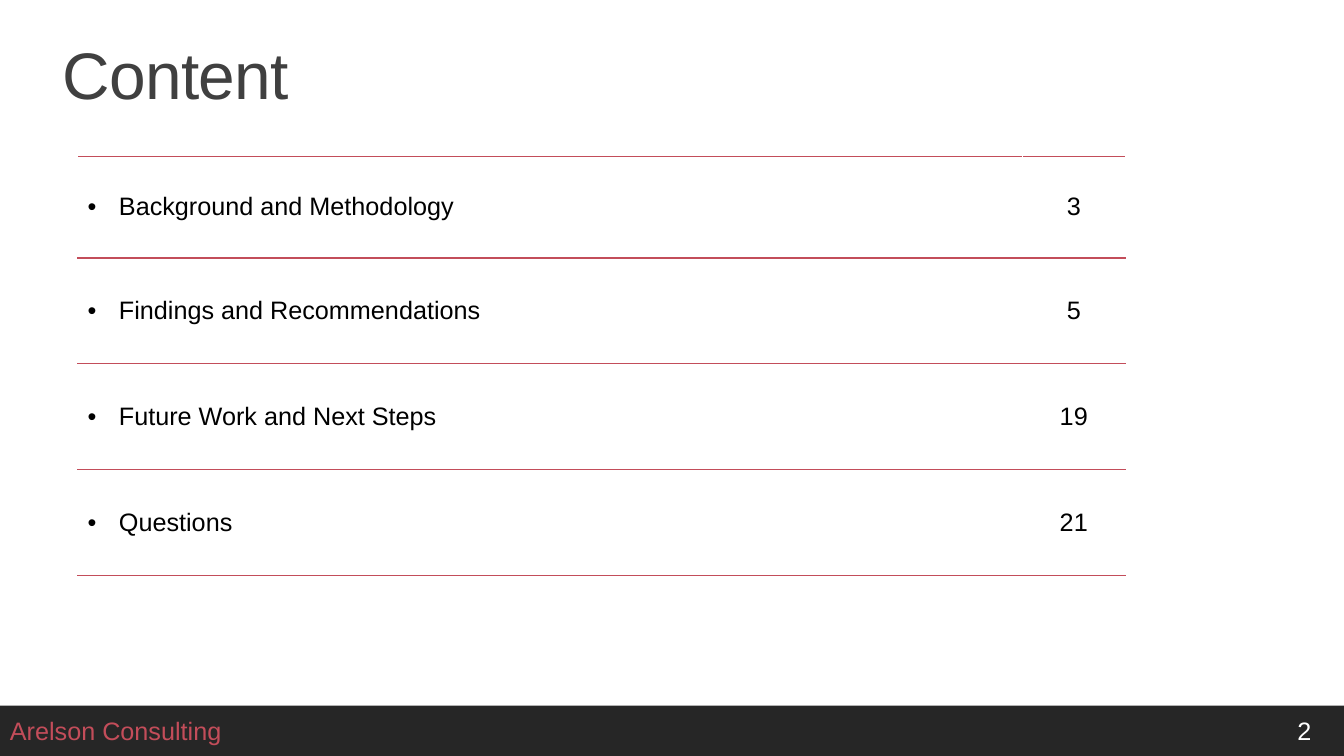
import pptx
import pptx.dml.color
import pptx.enum.shapes
import pptx.enum.text
import pptx.oxml
import pptx.oxml.ns
import pptx.util
from pptx.util import Inches

ANCHOR = pptx.enum.text.MSO_ANCHOR
ALIGN = pptx.enum.text.PP_ALIGN
RED, BLACK, WHITE = "C34D5A", "000000", "FFFFFF"
CHARCOAL, GRAY = "262626", "404040"


def color(code):
    return pptx.dml.color.RGBColor.from_string(code)


def element(tag, **attributes):
    node = pptx.oxml.parse_xml(f"<a:{tag} {pptx.oxml.ns.nsdecls('a')}/>")
    for name, value in attributes.items():
        node.set(name, str(value))
    return node


class SlideBuilder:
    font = "Arial"
    size = 18

    def __init__(self, deck):
        self.page = deck.slides.add_slide(deck.slide_layouts[5])

    def span(self, para, text, code, size=None):
        span = para.add_run()
        span.text = text
        span.font.name = self.font
        span.font.size = pptx.util.Pt(size or self.size)
        span.font.color.rgb = color(code)
        return span

    def bar(self, left, top, width, height, code):
        shape = self.page.shapes.add_shape(
            pptx.enum.shapes.MSO_SHAPE.RECTANGLE,
            Inches(left), Inches(top), Inches(width), Inches(height))
        shape.shadow.inherit = False
        shape.fill.solid()
        shape.fill.fore_color.rgb = color(code)
        shape.line.fill.background()

    def title(self, text, left, top, width, height):
        box = self.page.shapes.title
        box.left, box.top = Inches(left), Inches(top)
        box.width, box.height = Inches(width), Inches(height)
        frame = box.text_frame
        frame.auto_size = pptx.enum.text.MSO_AUTO_SIZE.NONE
        frame.vertical_anchor = ANCHOR.BOTTOM
        para = frame.paragraphs[0]
        para.alignment = ALIGN.LEFT
        para.line_spacing = 0.9
        span = self.span(para, text, GRAY, 47)
        span.font._element.set("spc", "-50")

    def label(self, text, left, top, width, height, code):
        box = self.page.shapes.add_textbox(
            Inches(left), Inches(top), Inches(width), Inches(height))
        frame = box.text_frame
        frame.word_wrap = False
        frame.auto_size = pptx.enum.text.MSO_AUTO_SIZE.SHAPE_TO_FIT_TEXT
        self.span(frame.paragraphs[0], text, code)

    def borders(self, cell):
        properties = cell._tc.get_or_add_tcPr()
        sides = (("lnL", WHITE), ("lnR", WHITE), ("lnT", RED), ("lnB", RED))
        for place, (side, code) in enumerate(sides):
            line = element(side, w=pptx.util.Pt(1))
            fill = element("solidFill")
            fill.append(element("srgbClr", val=code))
            line.append(fill)
            properties.insert(place, line)

    def bullet(self, para):
        properties = para._p.get_or_add_pPr()
        indent = Inches(0.31)
        properties.set("marL", str(indent))
        properties.set("indent", str(-indent))
        properties.append(element("buFont", typeface=self.font))
        properties.append(element("buChar", char="•"))

    def contents_table(self, entries, left, top, widths, heights):
        frame = self.page.shapes.add_table(
            len(entries), len(widths), Inches(left), Inches(top),
            Inches(sum(widths)), Inches(sum(heights)))
        table = frame.table
        table.first_row = table.horz_banding = False
        for column, width in zip(table.columns, widths):
            column.width = Inches(width)
        for row, height, entry in zip(table.rows, heights, entries):
            row.height = Inches(height)
            for cell, text in zip(row.cells, entry):
                cell.fill.background()
                cell.vertical_anchor = ANCHOR.MIDDLE
                self.borders(cell)
                para = cell.text_frame.paragraphs[0]
                if text.isdigit():
                    para.alignment = ALIGN.CENTER
                else:
                    self.bullet(para)
                self.span(para, text, BLACK)


def main():
    deck = pptx.Presentation()
    deck.slide_width, deck.slide_height = Inches(13.33), Inches(7.5)
    slide = SlideBuilder(deck)

    # Footer band
    slide.bar(0, 7, 13.33, 0.5, CHARCOAL)

    # Title and table of contents
    slide.title("Content", 0.52, 0.31, 12.11, 0.87)
    entries = [
        ("Background and Methodology", "3"),
        ("Findings and Recommendations", "5"),
        ("Future Work and Next Steps", "19"),
        ("Questions", "21"),
    ]
    slide.contents_table(entries, 0.77, 1.55, [9.37, 1.02], [1.01] + [1.05] * 3)

    # Footer text
    slide.label("Arelson Consulting", 0, 7.05, 2.4, 0.4, RED)
    slide.label("2", 12.77, 7.05, 0.34, 0.4, WHITE)

    deck.save("out.pptx")


if __name__ == "__main__":
    main()
